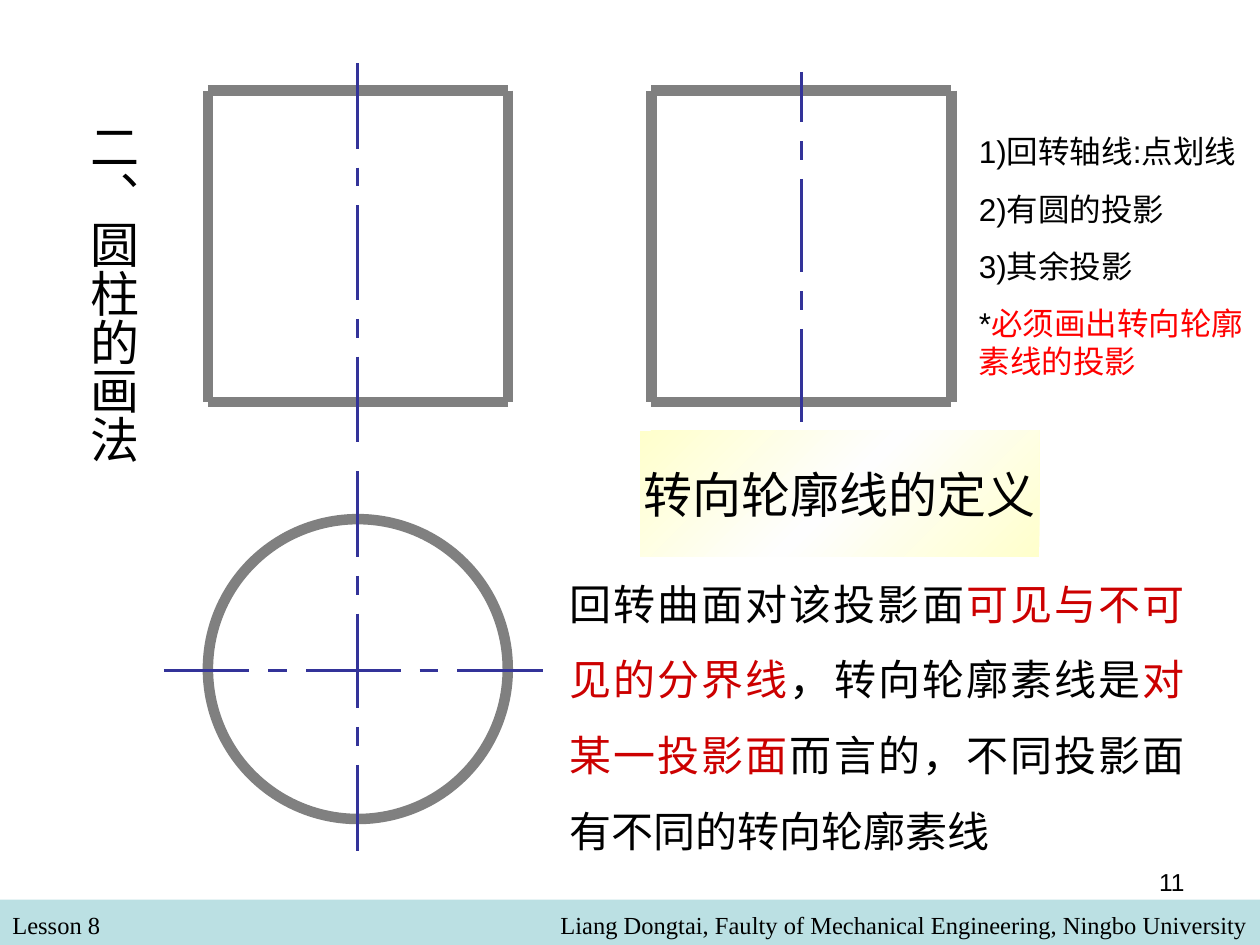
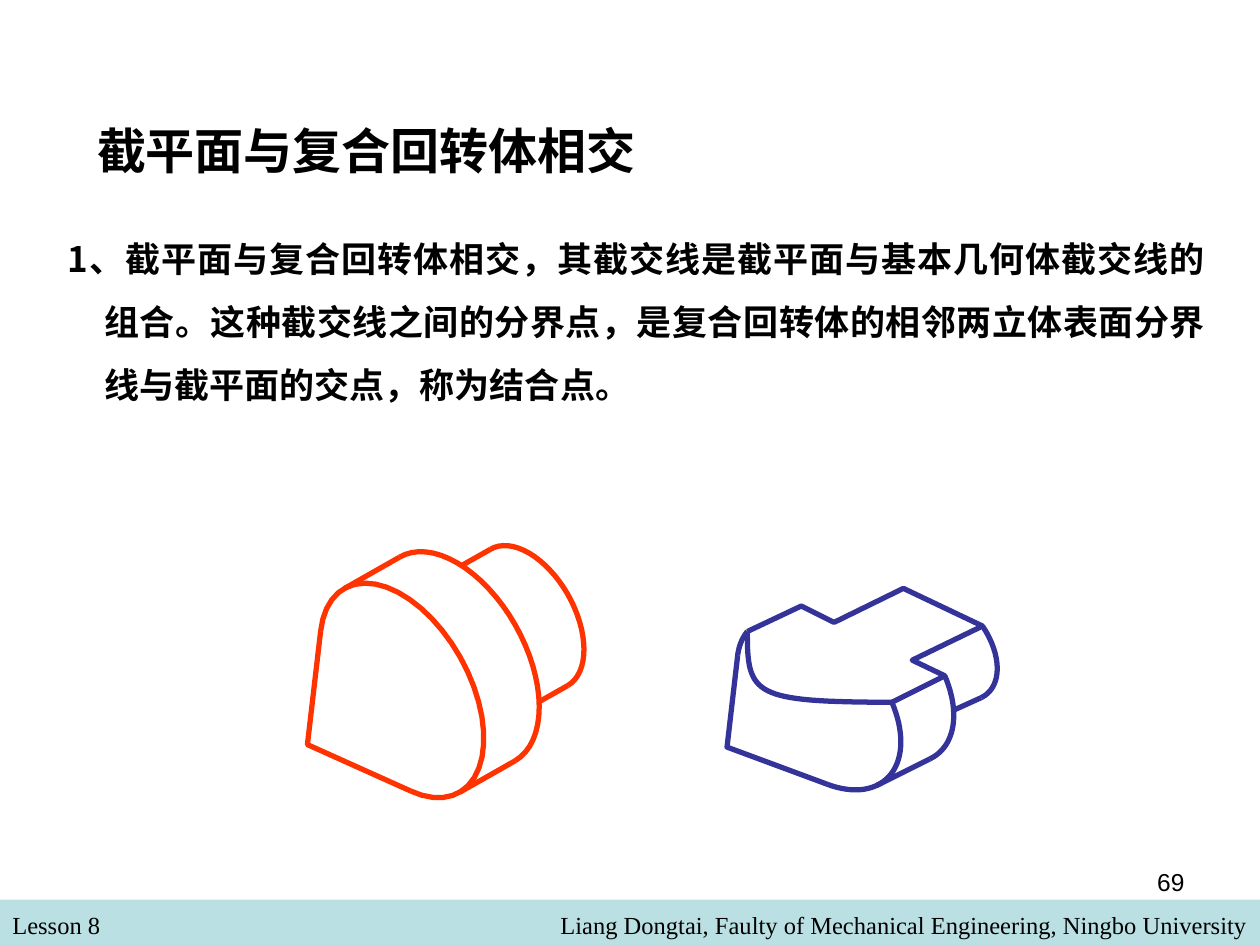
"""Builds two lesson slides: drawing a cylinder, and cutting compound solids of revolution."""
from copy import deepcopy
from math import cos, radians, sin

from lxml import etree
from pptx import Presentation
from pptx import util as u
from pptx.dml.color import RGBColor
from pptx.enum import shapes, text
from pptx.oxml.ns import qn

BLACK = RGBColor(0x00, 0x00, 0x00)
GREY = RGBColor(0x80, 0x80, 0x80)
NAVY = RGBColor(0x33, 0x33, 0x99)
ORANGE = RGBColor(0xFF, 0x33, 0x00)
RED = RGBColor(0xFF, 0x00, 0x00)
DARK_RED = RGBColor(0xCC, 0x00, 0x00)
BAND = RGBColor(0xBB, 0xE0, 0xE3)
CREAM = RGBColor(0xFF, 0xFF, 0xCC)
NEAR_WHITE = RGBColor(0xFE, 0xFE, 0xFE)
ARIAL, SERIF, CJK = "Arial", "Times New Roman", "Noto Sans CJK SC"
ALIGN = text.PP_ALIGN


def write(frame, paragraphs, size, font=ARIAL, align=ALIGN.LEFT, bold=False, spacing=None, gap=0):
    """Fill a text frame; each paragraph is a list of (words, colour) runs."""
    frame.word_wrap = True
    frame.auto_size = text.MSO_AUTO_SIZE.NONE
    for index, runs in enumerate(paragraphs):
        para = frame.add_paragraph() if index else frame.paragraphs[0]
        para.alignment = align
        para.space_before = u.Pt(gap if index else 0)
        if spacing:
            para.line_spacing = spacing
        for words, colour in runs:
            span = para.add_run()
            span.text = words
            span.font.size = u.Pt(size)
            span.font.bold = bold
            span.font.name = font
            span.font.color.rgb = colour
            etree.SubElement(span.font._element, qn("a:ea"), typeface=CJK)


def stroke(page, points, colour, width):
    """Draw a connector through two points, or an open outline through more."""
    points = [(u.Inches(x), u.Inches(y)) for x, y in points]
    if len(points) == 2:
        line = page.shapes.add_connector(shapes.MSO_CONNECTOR.STRAIGHT, *points[0], *points[1])
    else:
        builder = page.shapes.build_freeform(*points[0], scale=1.0)
        builder.add_line_segments(points[1:], close=False)
        line = builder.convert_to_shape()
        line.fill.background()
    line.line.color.rgb = colour
    line.line.width = u.Pt(width)
    if len(points) == 2:
        etree.SubElement(line._element.spPr, qn("a:effectLst"))
    else:
        line.shadow.inherit = False


deck = Presentation()
deck.slide_width, deck.slide_height = u.Inches(10), u.Inches(7.5)
cylinder_page = deck.slides.add_slide(deck.slide_layouts[6])
solids_page = deck.slides.add_slide(deck.slide_layouts[5])

for page, number in ((cylinder_page, "11"), (solids_page, "69")):
    band = page.shapes.add_shape(
        shapes.MSO_SHAPE.RECTANGLE, 0, u.Inches(7.14), u.Inches(10), u.Inches(0.36))
    band.shadow.inherit = False
    band.fill.solid()
    band.fill.fore_color.rgb = BAND
    band.line.fill.background()
    for left, top, width, height, words, font, align in (
        (0, 7.17, 4.83, 0.34, "Lesson 8", SERIF, ALIGN.LEFT),
        (1.83, 7.17, 8.17, 0.34,
         "Liang Dongtai, Faulty of Mechanical Engineering, Ningbo University", SERIF, ALIGN.RIGHT),
        (7.17, 6.83, 2.33, 0.52, number, ARIAL, ALIGN.RIGHT),
    ):
        box = page.shapes.add_textbox(
            u.Inches(left), u.Inches(top), u.Inches(width), u.Inches(height))
        write(box.text_frame, [[(words, BLACK)]], 14, font, align)

DIAMETER = 2.38
front_left, side_left = 1.65, 5.17
view_top, view_bottom = 0.72, 3.19
circle = cylinder_page.shapes.add_shape(
    shapes.MSO_SHAPE.OVAL, u.Inches(front_left), u.Inches(4.12),
    u.Inches(DIAMETER), u.Inches(DIAMETER))
circle.shadow.inherit = False
circle.fill.background()
circle.line.color.rgb = GREY
circle.line.width = u.Pt(6)

for left in (front_left, side_left):
    right = left + DIAMETER
    for y in (view_top, view_bottom):
        stroke(cylinder_page, [(left, y), (right, y)], GREY, 6)
    for x in (left, right):
        stroke(cylinder_page, [(x, view_top), (x, view_bottom)], GREY, 6)

DASH_GAP = 0.15
CENTRED_DASHES = (0.68, 0.15, 0.75, 0.15, 0.68)
SIDE_DASHES = (0.4, 0.15, 0.74, 0.15, 0.74)
front_axis, side_axis = front_left + DIAMETER / 2, side_left + DIAMETER / 2
for x, y, across, down, dashes in (
    (side_axis, 0.57, 0, 1, SIDE_DASHES),
    (front_axis, 0.5, 0, 1, CENTRED_DASHES),
    (front_axis, 3.74, 0, 1, CENTRED_DASHES),
    (1.3, 5.32, 1, 0, CENTRED_DASHES),
):
    for dash in dashes:
        stroke(cylinder_page, [(x, y), (x + dash * across, y + dash * down)], NAVY, 1.5)
        x += (dash + DASH_GAP) * across
        y += (dash + DASH_GAP) * down

heading = cylinder_page.shapes.add_textbox(
    u.Inches(0.52), u.Inches(0.87), u.Inches(0.66), u.Inches(3.15)).text_frame
write(heading, [[("二、圆柱的画法", BLACK)]], 28)
heading._txBody.bodyPr.set("vert", "eaVert")
heading.margin_left = heading.margin_right = u.Inches(0.05)
heading.margin_top = heading.margin_bottom = u.Inches(0.1)

definition = cylinder_page.shapes.add_shape(
    shapes.MSO_SHAPE.RECTANGLE, u.Inches(5.08), u.Inches(3.42), u.Inches(3.17), u.Inches(1))
definition.shadow.inherit = False
definition.line.fill.background()
definition.fill.gradient()
definition.fill.gradient_angle = 315
stop_list = definition._element.spPr.find(qn("a:gradFill")).find(qn("a:gsLst"))
stop_list.insert(1, deepcopy(stop_list[0]))
for stop, position, colour in zip(
        definition.fill.gradient_stops, (0, 0.5, 1), (CREAM, NEAR_WHITE, CREAM)):
    stop.position = position
    stop.color.rgb = colour
write(definition.text_frame, [[("转向轮廓线的定义", BLACK)]], 28, align=ALIGN.CENTER)
definition.text_frame.word_wrap = False
definition.text_frame.vertical_anchor = text.MSO_ANCHOR.MIDDLE

explanation = cylinder_page.shapes.add_textbox(
    u.Inches(4.42), u.Inches(4.34), u.Inches(5.08), u.Inches(2.5))
write(explanation.text_frame, [[
    ("回转曲面对该投影面", BLACK),
    ("可见与不可见的分界线", DARK_RED),
    ("，转向轮廓素线是", BLACK),
    ("对某一投影面", DARK_RED),
    ("而言的，不同投影面有不同的转向轮廓素线", BLACK),
]], 24, CJK, ALIGN.JUSTIFY, spacing=1.5)

steps = cylinder_page.shapes.add_textbox(
    u.Inches(7.67), u.Inches(1), u.Inches(2.33), u.Inches(2.37))
write(steps.text_frame, [
    [("1)回转轴线:点划线", BLACK)],
    [("2)有圆的投影", BLACK)],
    [("3)其余投影", BLACK)],
    [("*", BLACK), ("必须画出转向轮廓素线的投影", RED)],
], 18, gap=11.2)

title = solids_page.shapes.title
title.left, title.top = u.Inches(0.67), u.Inches(0.75)
title.width, title.height = u.Inches(8.5), u.Inches(0.88)
write(title.text_frame, [[("截平面与复合回转体相交", BLACK)]], 28, bold=True)
title.text_frame.vertical_anchor = text.MSO_ANCHOR.MIDDLE

rule = solids_page.shapes.add_textbox(
    u.Inches(0.23), u.Inches(1.67), u.Inches(9.43), u.Inches(1.6)).text_frame
write(rule, [[(
    "1、截平面与复合回转体相交，其截交线是截平面与基本几何体截交线的组合。"
    "这种截交线之间的分界点，是复合回转体的相邻两立体表面分界线与截平面的交点，"
    "称为结合点。", BLACK)]], 20, CJK, ALIGN.JUSTIFY, bold=True, spacing=1.5)
indents = rule.paragraphs[0]._p.get_or_add_pPr()
indents.set("marL", str(u.Inches(0.5)))
indents.set("indent", str(u.Inches(-0.29)))

CURVE_STEPS = 32
SKEW = 26.5
LARGE, SMALL = 0.65, 0.435
WHOLE_TALLNESS, CUT_TALLNESS = 1.31, 1.06
LOWER_TANGENT, UPPER_TANGENT = 45, -135
LOWER_CORNER, UPPER_CORNER = 84, -173
LARGE_CUT_RIGHT, LARGE_CUT_LEFT, SMALL_CUT = -27, -151, -43

arcs = {}
for name, centre_x, centre_y, radius, tallness, first, last in (
    ("whole front", 3.19, 5.48, LARGE, WHOLE_TALLNESS, LOWER_CORNER, UPPER_CORNER),
    ("whole back", 3.63, 5.23, LARGE, WHOLE_TALLNESS, LOWER_TANGENT, UPPER_TANGENT),
    ("whole small", 4.2, 4.9, SMALL, WHOLE_TALLNESS, LOWER_TANGENT, UPPER_TANGENT),
    ("cut front", 6.5, 5.58, LARGE, CUT_TALLNESS, LOWER_CORNER, LARGE_CUT_RIGHT),
    ("cut left", 6.5, 5.58, LARGE, CUT_TALLNESS, LARGE_CUT_LEFT, UPPER_CORNER),
    ("cut back", 6.92, 5.37, LARGE, CUT_TALLNESS, LOWER_TANGENT, LARGE_CUT_RIGHT),
    ("cut small", 7.48, 5.1, SMALL, CUT_TALLNESS, LOWER_TANGENT, SMALL_CUT),
):
    angles = [first + (last - first) * step / CURVE_STEPS for step in range(CURVE_STEPS + 1)]
    arcs[name] = [
        (centre_x + radius * cos(radians(angle)),
         centre_y + radius * tallness * sin(radians(angle + SKEW)))
        for angle in angles]
    stroke(solids_page, arcs[name], ORANGE if name.startswith("whole") else NAVY, 3)

for name, end, across, down, colour in (
    ("whole back", 0, -0.44, 0.25, ORANGE),
    ("whole back", -1, -0.44, 0.25, ORANGE),
    ("whole small", 0, -0.23, 0.13, ORANGE),
    ("whole small", -1, -0.23, 0.13, ORANGE),
    ("cut back", 0, -0.42, 0.21, NAVY),
    ("cut small", 0, -0.22, 0.1, NAVY),
):
    x, y = arcs[name][end]
    stroke(solids_page, [(x, y), (x + across, y + down)], colour, 3)

for upper, corner, lower, colour in (
    ("whole front", (2.44, 5.91), "whole front", ORANGE),
    ("cut left", (5.77, 5.93), "cut front", NAVY),
):
    stroke(solids_page, [arcs[upper][-1], corner, arcs[lower][0]], colour, 3)

cut_start, cut_end = arcs["cut left"][0], arcs["cut front"][-1]
stroke(solids_page, [
    cut_end, arcs["cut back"][-1], (7.24, 5.24), arcs["cut small"][-1],
    (7.17, 4.67), (6.62, 4.94), (6.36, 4.81), cut_start], NAVY, 3)

bezier_points = (cut_start, (5.93, 5.52), (5.98, 5.57), cut_end)
section_curve = []
for step in range(CURVE_STEPS + 1):
    along = step / CURVE_STEPS
    back = 1 - along
    weights = (back ** 3, 3 * back ** 2 * along, 3 * back * along ** 2, along ** 3)
    section_curve.append(tuple(
        sum(weight * point[axis] for weight, point in zip(weights, bezier_points))
        for axis in (0, 1)))
stroke(solids_page, section_curve, NAVY, 3)

deck.save("out.pptx")
